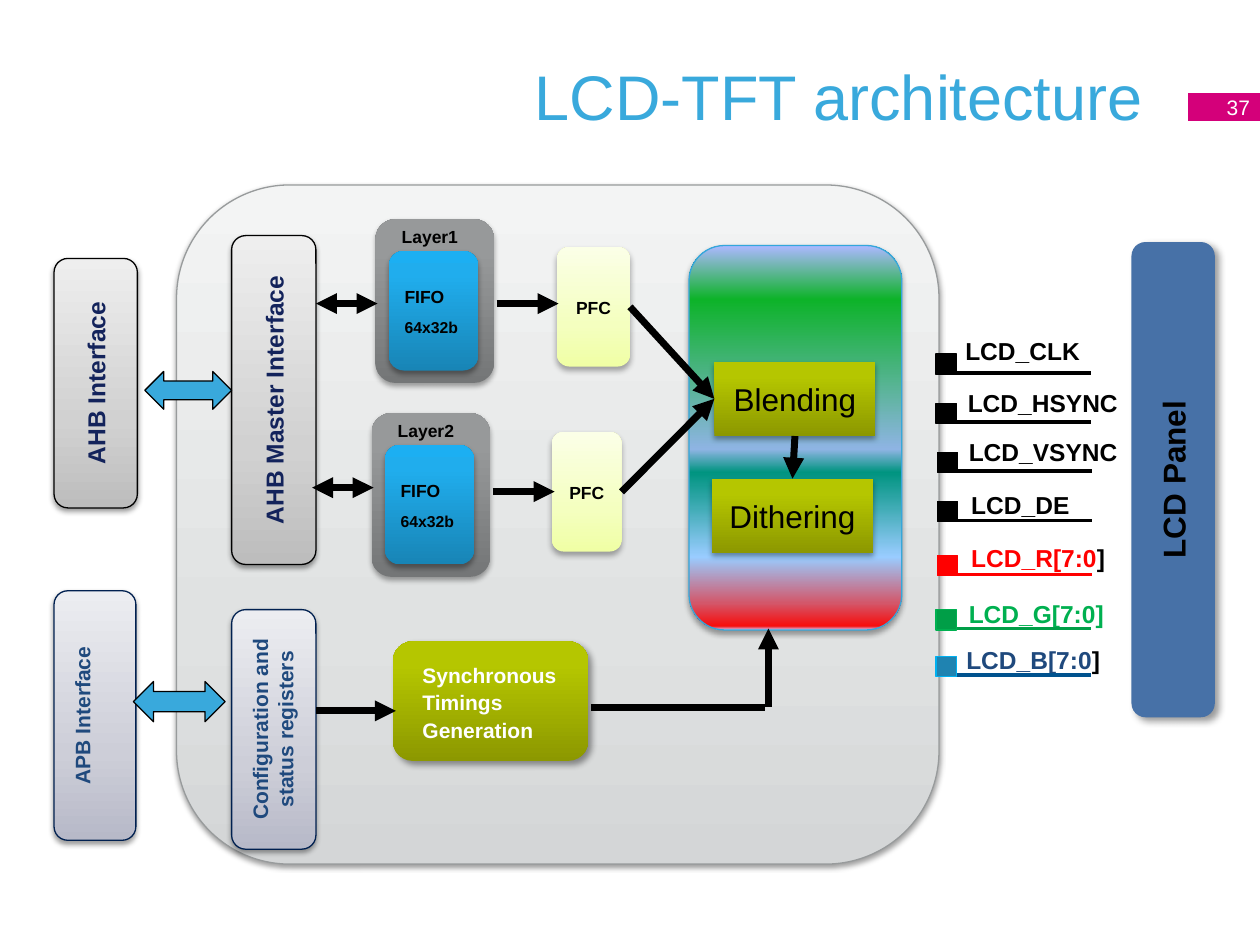
from lxml.etree import SubElement
from pptx import Presentation
from pptx.dml.color import RGBColor
from pptx.enum.shapes import MSO_CONNECTOR, MSO_SHAPE
from pptx.enum.text import MSO_ANCHOR, PP_ALIGN
from pptx.oxml.ns import qn
from pptx.util import Cm, Pt

BLACK, WHITE = RGBColor(0, 0, 0), RGBColor(255, 255, 255)
SKY, PINK = RGBColor(0x39, 0xA9, 0xDC), RGBColor(0xD4, 0x00, 0x7A)
NAVY, BLUE = RGBColor(0x13, 0x23, 0x5B), RGBColor(0x1F, 0x49, 0x7D)
EDGE, RIM = RGBColor(0x00, 0x20, 0x50), RGBColor(0x98, 0x9B, 0x9C)
CYAN, STEEL = RGBColor(0x34, 0xA7, 0xDB), RGBColor(0x47, 0x71, 0xA7)
RED = RGBColor(0xFF, 0, 0)
GREEN, LEAF = RGBColor(0, 0xB0, 0x50), RGBColor(0, 0x9E, 0x47)
TEAL, AQUA = RGBColor(0x1F, 0x83, 0xB1), RGBColor(0, 0xB0, 0xF0)
OCEAN = RGBColor(0x00, 0x52, 0x8E)


def ramp(*stops):
    """Gradient stops, from the bottom up."""
    return [(spot, RGBColor.from_string(tone)) for spot, tone in stops]


CHIP = ramp((0, "D4D6D7"), (35, "E0E2E2"), (100, "F3F4F4"))
GREY = ramp((0, "BDBDBD"), (35, "D1D1D1"), (100, "EEEEEE"))
LILAC = ramp((0, "B7B9C8"), (35, "CDCED8"), (100, "ECEDF1"))
SLATE = ramp((0, "747677"), (80, "97999A"), (100, "979A9B"))
AZURE = ramp((0, "1885B6"), (80, "20ADED"), (100, "1CAFF2"))
LEMON = ramp((0, "F0FFA5"), (35, "F4FFBF"), (100, "FBFFE7"))
OLIVE = ramp((0, "8C9800"), (80, "B5C600"), (100, "B6C700"))
PRISM = ramp((0, "CCCCFF"), (1, "F70D0D"), (7, "D3576A"), (19, "99CCFF"),
             (41, "009480"), (47, "8EB4E3"), (86, "0DB329"), (100, "ADB8FF"))

# Shadows: opacity %, blur pt, distance pt, direction
SOFT, DEEP = (38, 3.1, 1.6, 90), (35, 3.1, 1.8, 90)
PALE, SLANT = (32, 3.5, 2.2, 90), (40, 4, 3, 45)

ROUND, RECT = MSO_SHAPE.FLOWCHART_ALTERNATE_PROCESS, MSO_SHAPE.RECTANGLE
LEFT, MID, RIGHT = PP_ALIGN.LEFT, PP_ALIGN.CENTER, PP_ALIGN.RIGHT


def tone(spr, name, color):
    SubElement(SubElement(spr, qn(name)) if name else spr,
               qn("a:srgbClr"), val=str(color))


def blend(shape, stops):
    shape.fill.solid()
    spr = shape._element.spPr
    old = spr.find(qn("a:solidFill"))
    grad = SubElement(spr, qn("a:gradFill"), rotWithShape="1")
    spr.replace(old, grad)
    group = SubElement(grad, qn("a:gsLst"))
    for spot, color in stops:
        stop = SubElement(group, qn("a:gs"), pos=str(spot * 1000))
        tone(stop, None, color)
    SubElement(grad, qn("a:lin"), ang="16200000", scaled="0")


def shade(shape, alpha, blur, dist, turn):
    root = shape._element.spPr.find(qn("a:effectLst"))
    cast = SubElement(root, qn("a:outerShdw"), blurRad=str(Pt(blur)), dist=str(Pt(dist)),
                      dir=str(turn * 60000), rotWithShape="0")
    color = SubElement(cast, qn("a:srgbClr"), val=str(BLACK))
    SubElement(color, qn("a:alpha"), val=str(alpha * 1000))


def block(slide, kind, box, fill, line=None, cast=None):
    shape = slide.shapes.add_shape(kind, *map(Cm, box))
    if isinstance(fill, list):
        blend(shape, fill)
    else:
        shape.fill.solid()
        shape.fill.fore_color.rgb = fill
    if line is None:
        shape.line.fill.background()
    else:
        shape.line.color.rgb = line
        shape.line.width = Pt(0.75)
    shape.shadow.inherit = False
    if cast:
        shade(shape, *cast)
    return shape


def write(shape, lines, size, color, bold=True, align=MID, anchor=MSO_ANCHOR.MIDDLE,
          pad=(0.23, 0.13, 0.23, 0.13), turn=False, space=1.0):
    """Each line is a list of (text, size, colour) runs or a plain string."""
    frame = shape.text_frame
    sides = dict(zip(("left", "top", "right", "bottom"), pad))
    for side, gap in sides.items():
        setattr(frame, "margin_" + side, Cm(gap))
    frame.word_wrap, frame.vertical_anchor = True, anchor
    if turn:
        frame._txBody.bodyPr.set("vert", "vert270")
    for num, line in enumerate(lines):
        para = frame.add_paragraph() if num else frame.paragraphs[0]
        para.alignment, para.line_spacing = align, space
        if num:
            para.space_before = Pt(5)
        for text, points, ink in [(line, size, color)] if isinstance(line, str) else line:
            run = para.add_run()
            run.text = text
            look = {"name": "Arial", "size": Pt(points), "bold": bold}
            for key, val in look.items():
                setattr(run.font, key, val)
            run.font.color.rgb = ink


def wire(slide, start, end, color=BLACK, width=4, heads=("tailEnd",)):
    link = slide.shapes.add_connector(MSO_CONNECTOR.STRAIGHT, *map(Cm, start + end))
    link.line.color.rgb = color
    link.line.width = Pt(width)
    spr = link._element.spPr
    for head in heads:
        SubElement(spr.find(qn("a:ln")), qn("a:" + head), type="triangle")
    SubElement(spr, qn("a:effectLst"))
    return link


def join(slide, first, out, last, into):
    link = wire(slide, (0, 0), (1, 1))
    link.begin_connect(first, out)
    link.end_connect(last, into)


def header(slide, x, y):
    title = slide.shapes.add_textbox(Cm(x), Cm(y), Cm(22), Cm(3.18))
    write(title, ["LCD-TFT architecture"], 36, SKY, bold=False, align=RIGHT)
    tag = block(slide, RECT, (x + 22.68, y + 1.55, 1.45, 0.56), PINK)
    write(tag, ["37"], 12, WHITE, bold=False, align=RIGHT, pad=(0, 0, 0.2, 0))


def buses(slide, x, y):
    """Interfaces on the left, with their two-way arrows."""
    top, mid = MSO_ANCHOR.TOP, MSO_ANCHOR.MIDDLE
    for text, dx, dy, w, h, fill, line, size, ink, anchor in (
            ("AHB Master Interface", 3.58, 0, 1.7, 6.63, GREY, BLACK, 14, NAVY, mid),
            ("AHB Interface", 0, 0.46, 1.68, 5.03, GREY, BLACK, 14, NAVY, mid),
            ("Configuration and status registers", 3.58, 7.54, 1.7, 4.83,
             LILAC, EDGE, 12, BLUE, top),
            ("APB Interface", 0, 7.16, 1.65, 5.03, LILAC, EDGE, 12, BLUE, top)):
        shape = block(slide, ROUND, (x + dx, y + dy, w, h), fill, line, SOFT)
        write(shape, [text], size, ink, anchor=anchor, turn=True)
    for dx, dy, w, h in ((1.83, 2.74, 1.75, 0.76), (1.6, 8.99, 1.85, 0.81)):
        block(slide, MSO_SHAPE.LEFT_RIGHT_ARROW, (x + dx, y + dy, w, h), SKY, BLACK)


def layer(slide, x, y, name, bus, out, pfc):
    """One layer: FIFO, bus arrow, and the PFC it feeds, which is returned."""
    block(slide, ROUND, (x, y, 2.39, 3.3), SLATE, cast=DEEP)
    label = slide.shapes.add_textbox(Cm(x + 0.03), Cm(y - 0.03), Cm(2.13), Cm(0.74))
    write(label, [name], 10, BLACK)
    fifo = block(slide, ROUND, (x + 0.27, y + 0.64, 1.8, 2.41), AZURE, cast=DEEP)
    write(fifo, ["FIFO", [("64x32b", 9, BLACK)]], 10, BLACK, align=LEFT, space=1.1)
    wire(slide, (x - 1.2, y + bus), (x + 0.04, y + bus), heads=("headEnd", "tailEnd"))
    dx, dy, w = pfc
    shape = block(slide, ROUND, (x + dx, y + dy, w, 2.41), LEMON, cast=PALE)
    write(shape, ["PFC"], 10, BLACK, pad=(0.1, 0.13, 0.1, 0.13), space=1.1)
    wire(slide, (x + 2.44, y + out), (x + 3.69, y + out))
    return shape


def mixer(slide, x, y, feeds):
    """Blending and dithering, fed by the two PFC blocks."""
    block(slide, ROUND, (x, y, 4.29, 7.75), PRISM, CYAN, DEEP)
    steps = []
    for name, dx, dy in (("Blending", 0.51, 2.34), ("Dithering", 0.46, 4.7)):
        step = block(slide, RECT, (x + dx, y + dy, 3.25, 1.5), OLIVE, cast=DEEP)
        write(step, [name], 18, BLACK, bold=False)
        steps.append(step)
    for feed in feeds:
        join(slide, feed, 3, steps[0], 1)
    join(slide, steps[0], 2, steps[1], 0)


def timing(slide, x, y):
    shape = block(slide, ROUND, (x, y, 3.94, 2.41), OLIVE, cast=SLANT)
    write(shape, ["Synchronous Timings Generation"], 12, WHITE, align=LEFT,
          pad=(0.48, 0.13, 0.23, 0.13), space=1.1)
    wire(slide, (x - 1.54, y + 1.4), (x + 0.06, y + 1.4))
    wire(slide, (x + 3.99, y + 1.34), (x + 7.5, y + 1.34), heads=())
    wire(slide, (x + 7.57, y + 1.32), (x + 7.57, y - 0.26))


def pins(slide, x, y):
    """Output signals: label, wire and pad for each, then the panel."""
    for name, end, dx, dy, rise, lift, fill, line, ink, trace in (
            ("LCD_CLK", "", 0, 0, 0.59, 0.36, BLACK, BLACK, BLACK, BLACK),
            ("LCD_HSYNC", "", 0, 0.99, 0.64, 0.31, BLACK, BLACK, BLACK, BLACK),
            ("LCD_VSYNC", "", 0.03, 1.98, 0.66, 0.31, BLACK, BLACK, BLACK, BLACK),
            ("LCD_DE", "", 0.03, 2.97, 0.71, 0.23, BLACK, BLACK, BLACK, BLACK),
            ("LCD_R[7:0", "]", 0.03, 4.06, 0.71, 0.25, RED, RED, RED, RED),
            ("LCD_G[7:0]", "", 0, 5.15, 0.66, 0.22, LEAF, GREEN, GREEN, LEAF),
            ("LCD_B[7:0", "]", 0, 6.09, 0.61, 0.23, TEAL, AQUA, BLUE, OCEAN)):
        label = block(slide, RECT, (x + rise, y + dy - lift, 3.2, 0.66), WHITE)
        runs = [(name, 14, ink)] + ([(end, 14, BLACK)] if end else [])
        write(label, [runs], 14, ink, align=LEFT, anchor=MSO_ANCHOR.TOP, pad=(0, 0, 0, 0))
        wire(slide, (x + 0.4 + dx, y + dy + 0.38), (x + 3.12 + dx, y + dy + 0.38),
             trace, 2, ())
        block(slide, RECT, (x + dx, y + dy, 0.41, 0.41), fill, line)
    panel = block(slide, ROUND, (x + 3.94, y - 2.26, 1.68, 9.58), STEEL, cast=SLANT)
    write(panel, ["LCD Panel"], 18, BLACK, turn=True)


def main():
    deck = Presentation()
    deck.slide_width, deck.slide_height = Cm(25.4), Cm(19.05)
    slide = deck.slides.add_slide(deck.slide_layouts[6])
    block(slide, ROUND, (3.56, 3.73, 15.37, 13.69), CHIP, RIM, SOFT)
    header(slide, 1.27, 0.33)
    buses(slide, 1.09, 4.75)
    feeds = [layer(slide, 7.57, 4.42, "Layer1", 1.7, 1.7, (3.66, 0.56, 1.47)),
             layer(slide, 7.49, 8.33, "Layer2", 1.5, 1.58, (3.64, 0.38, 1.4))]
    mixer(slide, 13.89, 4.95, feeds)
    timing(slide, 7.92, 12.93)
    pins(slide, 18.87, 7.14)
    deck.save("out.pptx")


if __name__ == "__main__":
    main()
